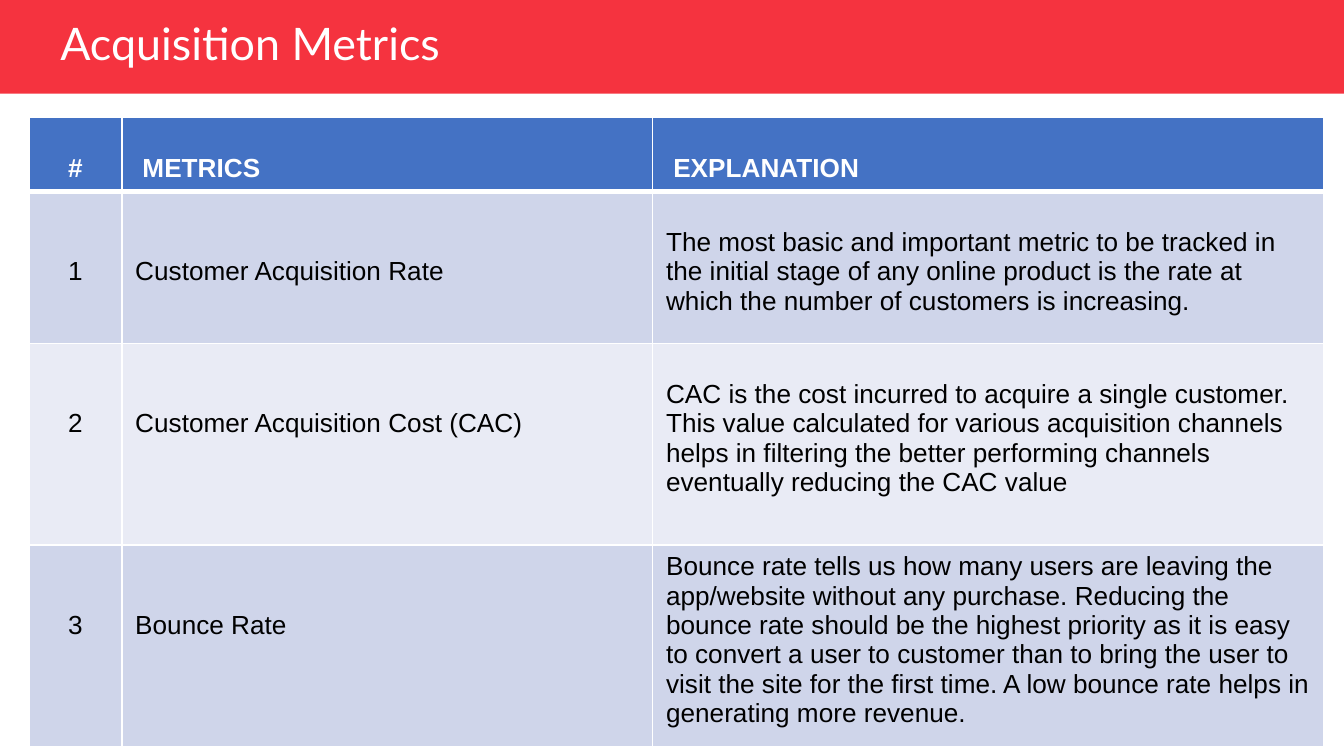
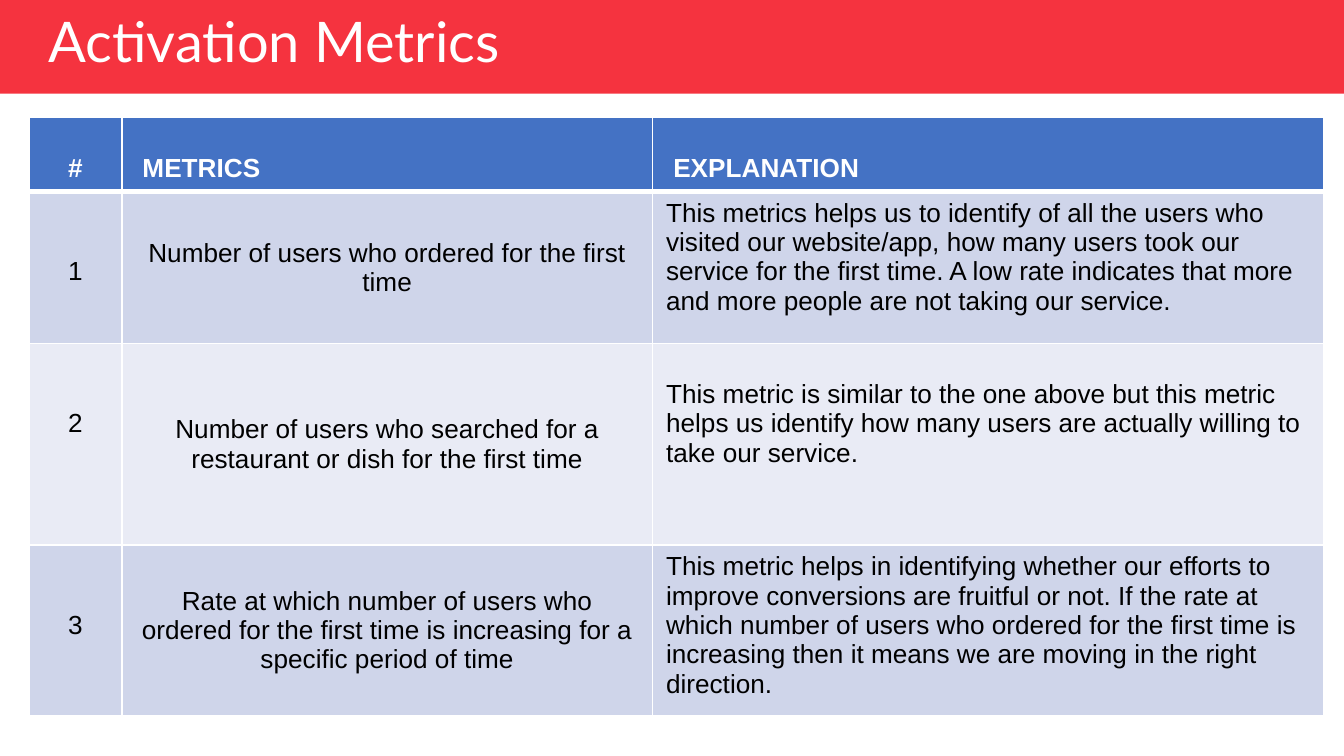
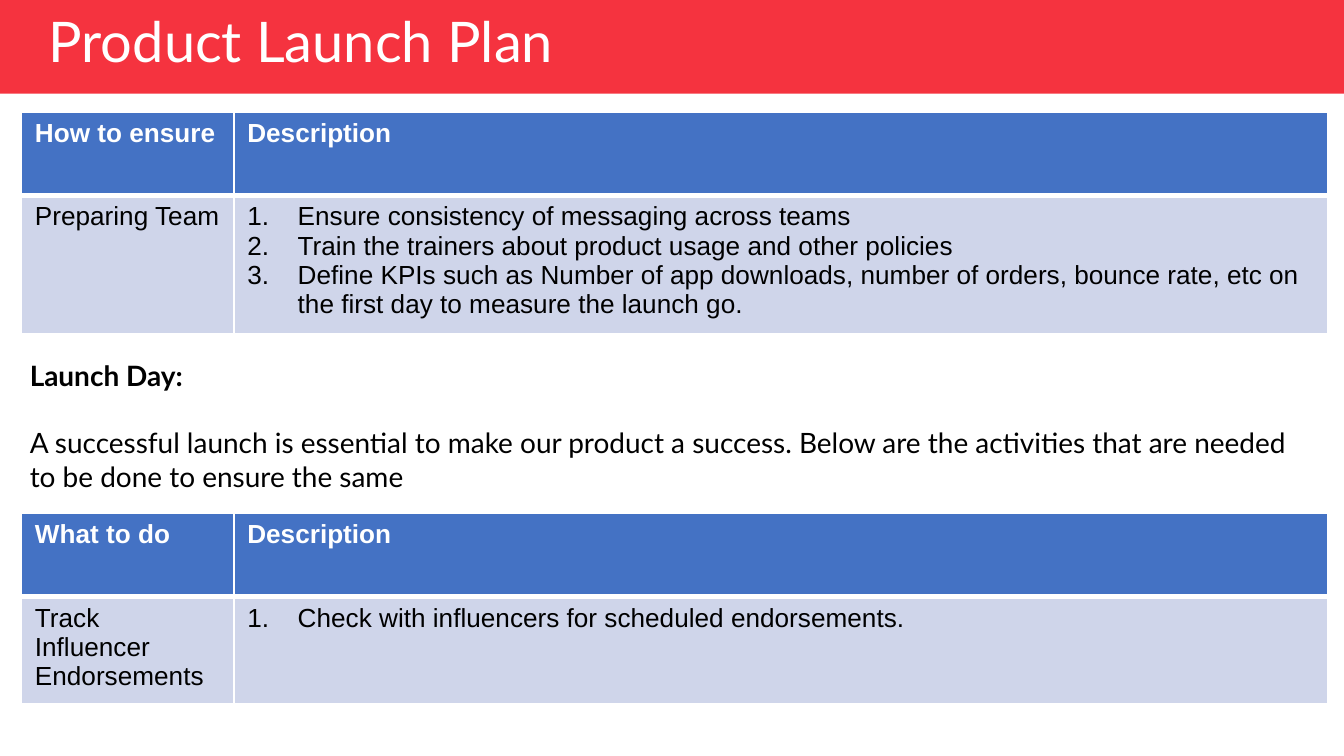
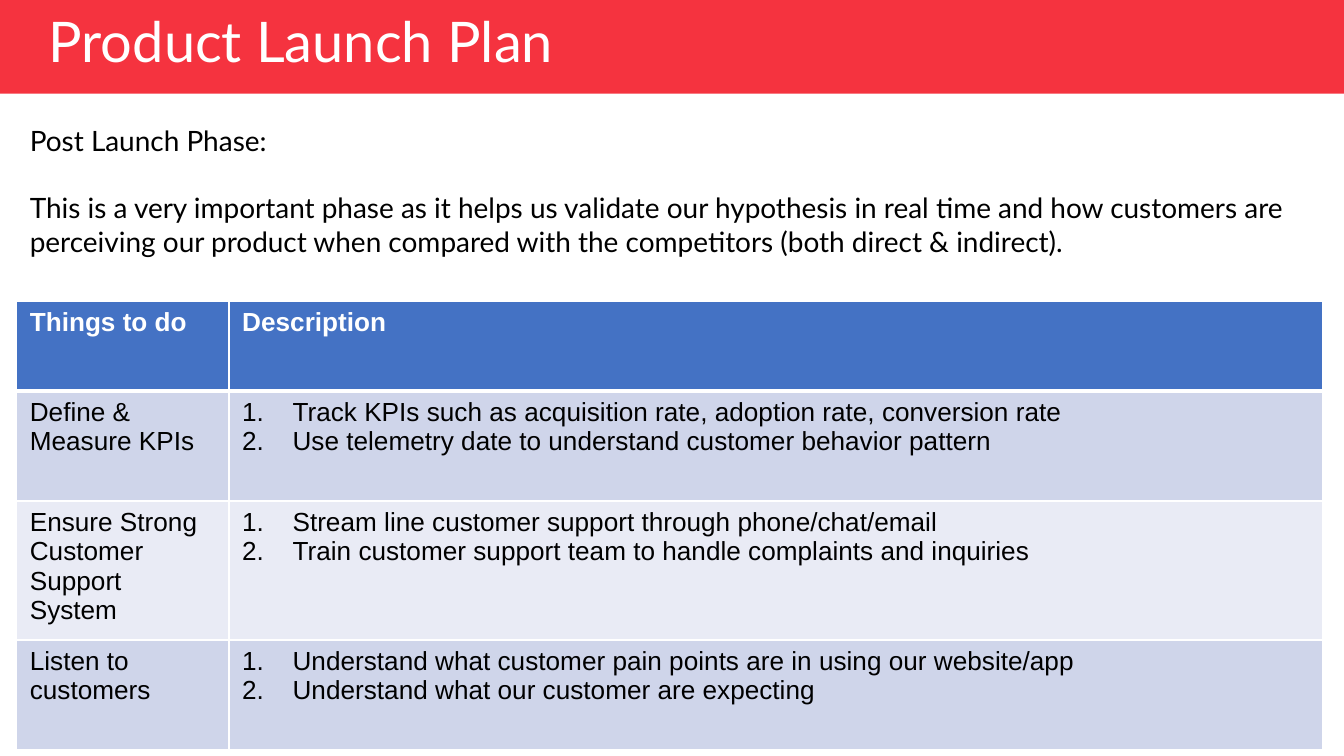
from dataclasses import dataclass

from lxml.etree import SubElement
from pptx import Presentation
from pptx.dml.color import RGBColor
from pptx.enum.shapes import MSO_SHAPE
from pptx.enum.text import MSO_ANCHOR, PP_ALIGN
from pptx.oxml.ns import qn
from pptx.slide import Slide
from pptx.table import _Cell
from pptx.text.text import _Paragraph
from pptx.util import Pt


# Shared look
@dataclass(frozen=True)
class Theme:
    red: str = "F5333F"
    blue: str = "4472C4"
    dark: str = "CFD5EA"
    light: str = "E9EBF5"
    white: str = "FFFFFF"
    black: str = "000000"
    head: str = "Lato"
    body: str = "Arial"
    title: float = 30
    small: float = 24
    note: float = 15
    cell: float = 14
    line: float = 15.7  # height of one table line
    gap: float = 18  # height of one note line
    inset: float = 7.2
    pad: float = 3.6
    indent: float = 27


T = Theme()
WIDE, HIGH = 720, 405


# Repeated elements
@dataclass(frozen=True)
class Entry:
    lines: tuple[str, ...]
    skip: int = 0  # free lines above the text
    center: bool = False
    middle: bool = False
    listed: bool = False


@dataclass(frozen=True)
class Grid:
    left: float
    top: float
    cols: tuple[float, ...]
    rows: tuple[float, ...]
    cells: list[list[Entry]]


@dataclass(frozen=True)
class Note:
    top: float
    height: float
    lines: tuple[str, ...]
    bold: bool = False  # first line only


@dataclass(frozen=True)
class Page:
    title: str
    left: float
    top: float
    width: float
    size: float
    grids: list[Grid]
    note: Note | None = None


def add_run(par: _Paragraph, text: str, font: str, size: float,
            color: str, bold: bool = False) -> None:
    run = par.add_run()
    run.text = text
    run.font.name = font
    run.font.size = Pt(size)
    run.font.bold = bold
    run.font.color.rgb = RGBColor.from_string(color)
    # The paragraph mark takes the size of the text, so that rows stay tight
    SubElement(par._p, qn("a:endParaRPr"), sz=str(round(size * 100)))


def add_number(par: _Paragraph) -> None:
    props = par._p.get_or_add_pPr()
    props.set("marL", str(Pt(T.indent)))
    props.set("indent", str(-Pt(T.indent)))
    tint = SubElement(props, qn("a:buClr"))
    SubElement(tint, qn("a:srgbClr"), val=T.black)
    SubElement(props, qn("a:buAutoNum"), type="arabicPeriod")


def add_edges(cell: _Cell, first: bool, below: bool) -> None:
    props = cell._tc.get_or_add_tcPr()
    thick = {"T": 3 if below else 1, "B": 3 if first else 1}
    for spot, side in enumerate("LRTB"):
        edge = SubElement(props, qn(f"a:ln{side}"), w=str(Pt(thick.get(side, 1))))
        fill = SubElement(edge, qn("a:solidFill"))
        SubElement(fill, qn("a:srgbClr"), val=T.white)
        props.insert(spot, edge)


def fill_cell(cell: _Cell, entry: Entry, row: int) -> None:
    first = row == 0
    cell.fill.solid()
    shade = T.blue if first else (T.light, T.dark)[row % 2]
    cell.fill.fore_color.rgb = RGBColor.from_string(shade)
    cell.margin_left = cell.margin_right = Pt(T.inset)
    cell.margin_top = Pt(T.pad + entry.skip * T.line)
    cell.margin_bottom = Pt(T.pad)
    cell.vertical_anchor = MSO_ANCHOR.MIDDLE if entry.middle else MSO_ANCHOR.TOP
    frame = cell.text_frame
    for spot, text in enumerate(entry.lines):
        par = frame.add_paragraph() if spot else frame.paragraphs[0]
        par.alignment = PP_ALIGN.CENTER if entry.center else PP_ALIGN.LEFT
        if entry.listed:
            add_number(par)
        add_run(par, text, T.body, T.cell, T.white if first else T.black, first)
    add_edges(cell, first, row == 1)


def draw_grid(slide: Slide, grid: Grid) -> None:
    table = slide.shapes.add_table(
        len(grid.rows), len(grid.cols), Pt(grid.left), Pt(grid.top),
        Pt(sum(grid.cols)), Pt(sum(grid.rows))).table
    for col, width in zip(table.columns, grid.cols):
        col.width = Pt(width)
    for row, height in zip(table.rows, grid.rows):
        row.height = Pt(height)
    for r, entries in enumerate(grid.cells):
        for c, entry in enumerate(entries):
            fill_cell(table.cell(r, c), entry, r)


def draw_note(slide: Slide, note: Note) -> None:
    frame = slide.shapes.add_textbox(
        Pt(8.9), Pt(note.top), Pt(702.7), Pt(note.height)).text_frame
    frame.word_wrap = True
    frame.margin_left = frame.margin_right = Pt(T.inset)
    frame.margin_top = frame.margin_bottom = Pt(T.inset)
    for spot, text in enumerate(note.lines):
        par = frame.add_paragraph() if spot else frame.paragraphs[0]
        par.space_before = Pt(T.gap if spot else 0)
        add_run(par, text, T.head, T.note, T.black, note.bold and spot == 0)


def draw_title(slide: Slide, page: Page) -> None:
    band = slide.shapes.add_shape(MSO_SHAPE.RECTANGLE, 0, 0, Pt(WIDE), Pt(50.2))
    band.shadow.inherit = False
    band.fill.solid()
    band.fill.fore_color.rgb = RGBColor.from_string(T.red)
    band.line.fill.background()
    frame = slide.shapes.add_textbox(
        Pt(page.left), Pt(page.top), Pt(page.width), Pt(30.2)).text_frame
    frame.word_wrap = True
    frame.vertical_anchor = MSO_ANCHOR.MIDDLE
    par = frame.paragraphs[0]
    par.line_spacing = 0.9
    add_run(par, page.title, T.head, page.size, T.white)


def draw_page(slide: Slide, page: Page) -> None:
    draw_title(slide, page)
    if page.note:
        draw_note(slide, page.note)
    for grid in page.grids:
        draw_grid(slide, grid)


# Table kinds
def metric_grid(last: float, pairs: list[tuple[Entry, Entry]]) -> Grid:
    cells = [[Entry(("#",), 1, center=True), Entry((" METRICS",), 1),
              Entry((" EXPLANATION",), 1)]]
    for num, pair in enumerate(pairs, 1):
        cells.append([Entry((str(num),), 2, center=True), *pair])
    return Grid(15.6, 63, (49.68, 284.4, 359.7), (38.2, 81.4, 108, last), cells)


def task_grid(left: float, top: float, rows: tuple[float, ...], head: str,
              tasks: list[tuple[str, tuple[str, ...]]]) -> Grid:
    cells = [[Entry((head,)), Entry(("Description",))]]
    for name, steps in tasks:
        cells.append([Entry((name,)), Entry(steps, listed=True)])
    return Grid(left, top, (113.76, 586.08), rows, cells)


def named(text: str) -> Entry:
    return Entry((text,), 2)


def mid(text: str) -> Entry:
    return Entry((text,), center=True, middle=True)


# Content
PAGES = [
    Page("Acquisition Metrics", 25.2, 9.4, 294.5, T.small, [metric_grid(101.2, [
        (named("Customer Acquisition Rate"),
         Entry(("The most basic and important metric to be tracked in the initial "
                "stage of any online product is the rate at which the number of "
                "customers is increasing.",), 1)),
        (named("Customer Acquisition Cost (CAC)"),
         Entry(("CAC is the cost incurred to acquire a single customer. This value "
                "calculated for various acquisition channels helps in filtering the "
                "better performing channels eventually reducing the CAC value",), 1)),
        (named("Bounce Rate"),
         Entry(("Bounce rate tells us how many users are leaving the app/website "
                "without any purchase. Reducing the bounce rate should be the highest "
                "priority as it is easy to convert a user to customer than to bring "
                "the user to visit the site for the first time. A low bounce rate "
                "helps in generating more revenue.",))),
    ])]),
    Page("Activation Metrics", 19, 8.6, 294.5, T.title, [metric_grid(87.8, [
        (mid("Number of users who ordered for the first time"),
         Entry(("This metrics helps us to identify of all the users who visited our "
                "website/app, how many users took our service for the first time. A "
                "low rate indicates that more and more people are not taking our "
                "service.",))),
        (mid("Number of users who searched for a restaurant or dish for the first time"),
         Entry(("This metric is similar to the one above but this metric helps us "
                "identify how many users are actually willing to take our "
                "service.",), 1)),
        (mid("Rate at which number of users who ordered for the first time is "
             "increasing for a specific period of time"),
         Entry(("This metric helps in identifying whether our efforts to improve "
                "conversions are fruitful or not. If the rate at which number of "
                "users who ordered for the first time is increasing then it means we "
                "are moving in the right direction.",))),
    ])]),
    Page("Product Launch Plan", 19, 8.6, 460, T.title, [
        task_grid(11.5, 60, (44.6, 70), "How to ensure", [
            ("Preparing Team", (
                "Ensure consistency of messaging across teams",
                "Train the trainers about product usage and other policies",
                "Define KPIs such as Number of app downloads, number of orders, "
                "bounce rate, etc on the first day to measure the launch go."))]),
        task_grid(11.5, 275, (44.6, 55.4), "What to do", [
            ("Track Influencer Endorsements", (
                "Check with influencers for scheduled endorsements.",))]),
    ], Note(185, 86,
            ("Launch Day:",
             "A successful launch is essential to make our product a success. Below "
             "are the activities that are needed to be done to ensure the same"),
            True)),
    Page("Product Launch Plan", 19, 8.6, 460, T.title, [
        task_grid(8.8, 161.5, (48, 59, 70, 59), "Things to do", [
            ("Define & Measure KPIs", (
                "Track KPIs such as acquisition rate, adoption rate, conversion rate",
                "Use telemetry date to understand customer behavior pattern")),
            ("Ensure Strong Customer Support System", (
                "Stream line customer support through phone/chat/email",
                "Train customer support team to handle complaints and inquiries")),
            ("Listen to customers", (
                "Understand what customer pain points are in using our website/app",
                "Understand what our customer are expecting")),
        ]),
    ], Note(59, 336,
            ("Post Launch Phase:",
             "This is a very important phase as it helps us validate our hypothesis in "
             "real time and how customers are perceiving our product when compared "
             "with the competitors (both direct & indirect)."))),
]


def main() -> None:
    deck = Presentation()
    deck.slide_width, deck.slide_height = Pt(WIDE), Pt(HIGH)
    for page in PAGES:
        draw_page(deck.slides.add_slide(deck.slide_layouts[6]), page)
    deck.save("out.pptx")


if __name__ == "__main__":
    main()
